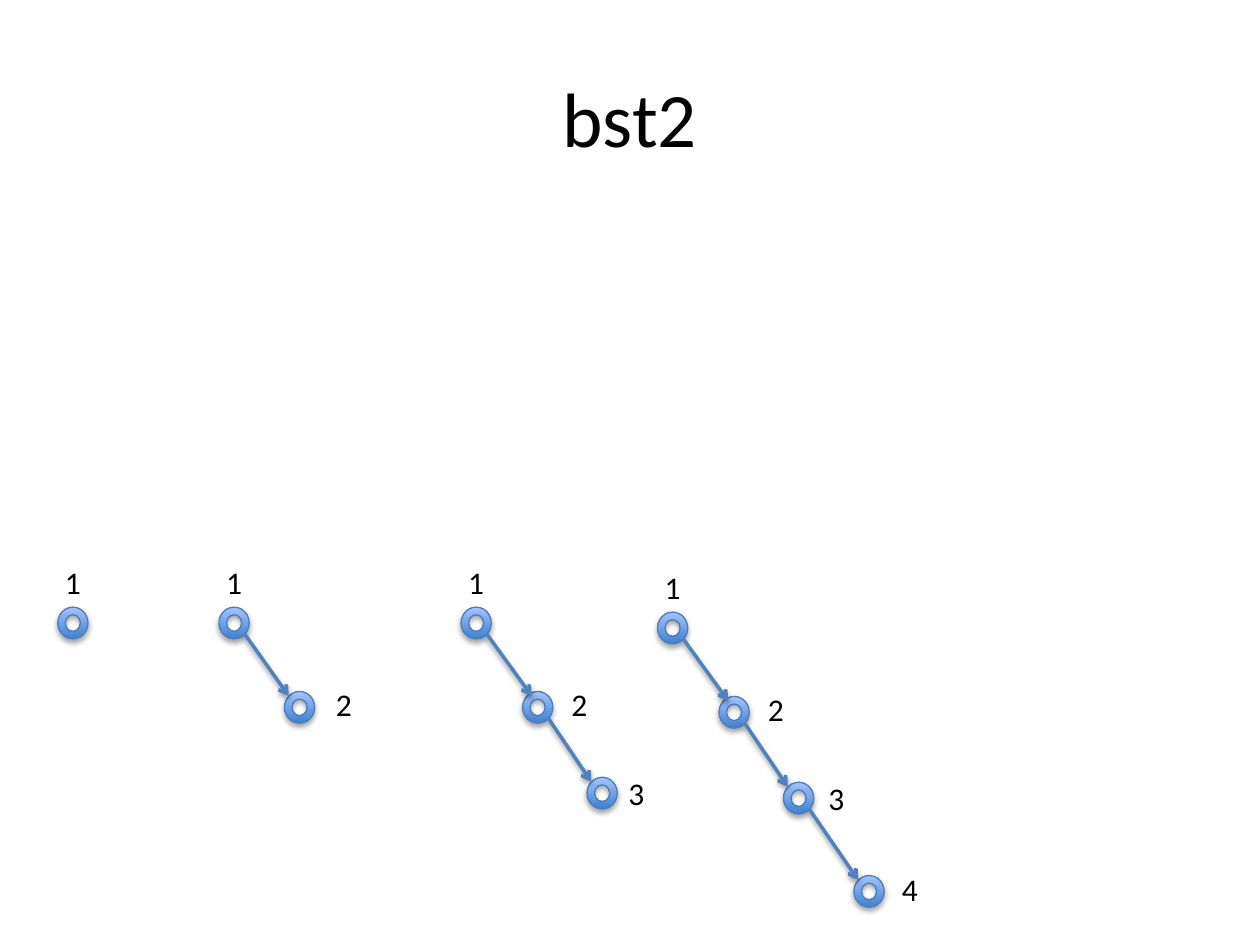
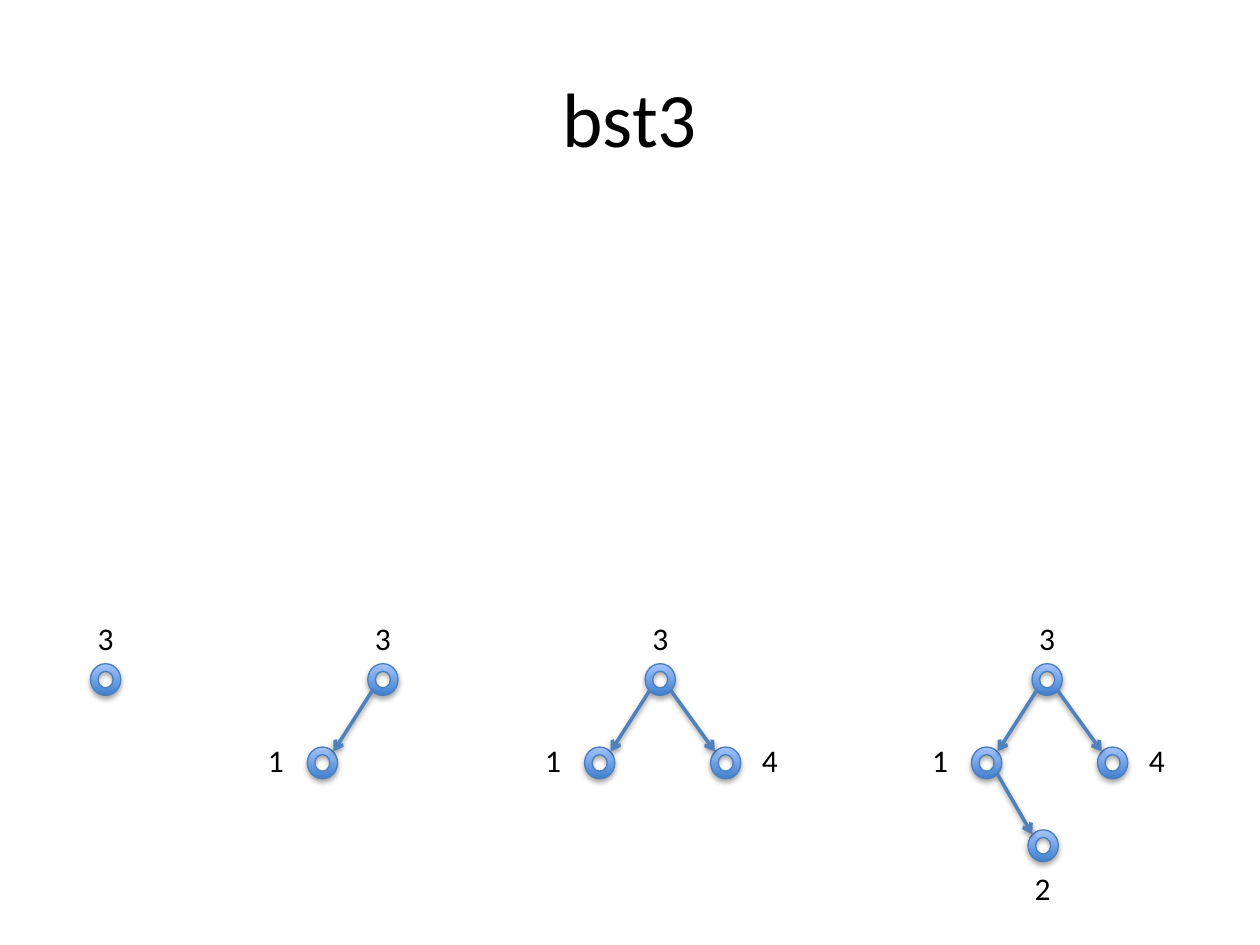
from dataclasses import dataclass

from lxml.etree import SubElement
from pptx import Presentation
from pptx.dml.color import RGBColor
from pptx.enum.shapes import MSO_CONNECTOR, MSO_SHAPE
from pptx.enum.text import MSO_ANCHOR, MSO_AUTO_SIZE, PP_ALIGN
from pptx.oxml.ns import qn
from pptx.util import Cm, Pt

BLACK, EDGE, RING = "000000", "4F81BD", "4B7EBC"
RING_STOPS = ("3F80CE", "A4C4FF")
RING_WIDTH, RING_HEIGHT = 0.61, 0.64
LABEL_WIDTH, LABEL_HEIGHT = 0.84, 1.02
TOUCH_X, TOUCH_Y = 0.22, 0.23
TITLE_BOX = (1.27, 0.76, 22.86, 3.18)
TITLE = {
    "frame": {"word_wrap": True, "vertical_anchor": MSO_ANCHOR.MIDDLE},
    "para": {"alignment": PP_ALIGN.CENTER},
    "font": {"name": "Calibri", "size": Pt(44)},
}
LABEL = {
    "frame": {"word_wrap": False, "auto_size": MSO_AUTO_SIZE.SHAPE_TO_FIT_TEXT},
    "para": {"alignment": PP_ALIGN.LEFT},
    "font": {"name": "Calibri", "size": Pt(18)},
}


@dataclass
class Node:
    """A tree node: offset from the root, label offset, parent index, arrow tip inset."""

    key: str
    x: float = 0
    y: float = 0
    label_x: float = 0.01
    label_y: float = -0.83
    parent: int = -1
    tip: float = TOUCH_X


def colour(value):
    """Turn a hex string into a colour."""
    return RGBColor.from_string(value)


def set_values(target, values):
    """Set attributes of an object from a dict."""
    for name, value in values.items():
        setattr(target, name, value)


def add_shadow(shape, distance, opacity):
    """Give a shape or connector a soft shadow straight below it."""
    effects = SubElement(shape._element.spPr, qn("a:effectLst"))
    shadow = SubElement(effects, qn("a:outerShdw"), blurRad=str(Pt(3.1)),
                        dist=str(Pt(distance)), dir="5400000", rotWithShape="0")
    black = SubElement(shadow, qn("a:srgbClr"), val=BLACK)
    SubElement(black, qn("a:alpha"), val=str(opacity * 1000))


def add_text(shapes, box, text, style):
    """Place one line of text in a box."""
    frame = shapes.add_textbox(*map(Cm, box)).text_frame
    set_values(frame, style["frame"])
    para = frame.paragraphs[0]
    set_values(para, style["para"])
    span = para.add_run()
    span.text = text
    set_values(span.font, style["font"])
    span.font.color.rgb = colour(BLACK)


def add_ring(shapes, x, y):
    """Draw a node ring around a centre."""
    box = (x - RING_WIDTH / 2, y - RING_HEIGHT / 2, RING_WIDTH, RING_HEIGHT)
    ring = shapes.add_shape(MSO_SHAPE.DONUT, *map(Cm, box))
    ring.fill.gradient()
    ring.fill.gradient_angle = 90
    for stop, value in zip(ring.fill.gradient_stops, RING_STOPS):
        stop.color.rgb = colour(value)
    ring.line.color.rgb = colour(RING)
    ring.line.width = Pt(0.75)
    add_shadow(ring, 1.8, 35)


def add_edge(shapes, x, y, parent, child):
    """Draw an arrow from a parent ring to a child ring."""
    side = 1 if child.x > parent.x else -1
    ends = (x + parent.x + side * TOUCH_X, y + parent.y + TOUCH_Y,
            x + child.x - side * child.tip, y + child.y - TOUCH_Y)
    edge = shapes.add_connector(MSO_CONNECTOR.STRAIGHT, *map(Cm, ends))
    edge.line.color.rgb = colour(EDGE)
    edge.line.width = Pt(2)
    SubElement(edge._element.spPr.find(qn("a:ln")), qn("a:tailEnd"), type="arrow")
    add_shadow(edge, 1.6, 38)


def add_tree(page, x, y, nodes):
    """Draw a grouped tree whose root is centred on a point."""
    shapes = page.shapes.add_group_shape().shapes
    for node in nodes:
        add_ring(shapes, x + node.x, y + node.y)
        if node.parent >= 0:
            add_edge(shapes, x, y, nodes[node.parent], node)
        box = (x + node.x + node.label_x - LABEL_WIDTH / 2,
               y + node.y + node.label_y - LABEL_HEIGHT / 2, LABEL_WIDTH, LABEL_HEIGHT)
        add_text(shapes, box, node.key, LABEL)


def add_page(deck, title, trees):
    """Add a slide with a title and a row of growing trees."""
    page = deck.slides.add_slide(deck.slide_layouts[6])
    for x, y, nodes in trees:
        add_tree(page, x, y, nodes)
    add_text(page.shapes, TITLE_BOX, title, TITLE)


def main():
    """Build the deck and save it."""
    deck = Presentation()
    set_values(deck, {"slide_width": Cm(25.4), "slide_height": Cm(19.05)})

    one = Node("1")
    two = Node("2", 1.24, 1.7, 0.85, -0.06, 0, 0.12)
    chain = [one, two, Node("3", 2.54, 3.43, 0.77, -0.01, 1),
             Node("4", 3.96, 5.31, 0.83, -0.04, 2)]
    add_page(deck, "bst2", [
        (1.47, 12.56, [one]),
        (4.72, 12.56, [one, Node("2", 1.32, 1.7, 0.9, -0.06, 0)]),
        (9.6, 12.56, [one, two, Node("3", 2.54, 3.43, 0.7, -0.01, 1)]),
        (13.56, 12.66, chain),
    ])

    branches = [Node("3"), Node("1", -1.22, 1.68, -0.93, -0.06, 0),
                Node("4", 1.32, 1.68, 0.9, -0.06, 0),
                Node("2", -0.08, 3.35, 0, 0.85, 1)]
    add_page(deck, "bst3", [
        (x, 13.7, branches[:count + 1])
        for count, x in enumerate((2.13, 7.72, 13.31, 21.11))
    ])
    deck.save("out.pptx")


main()
